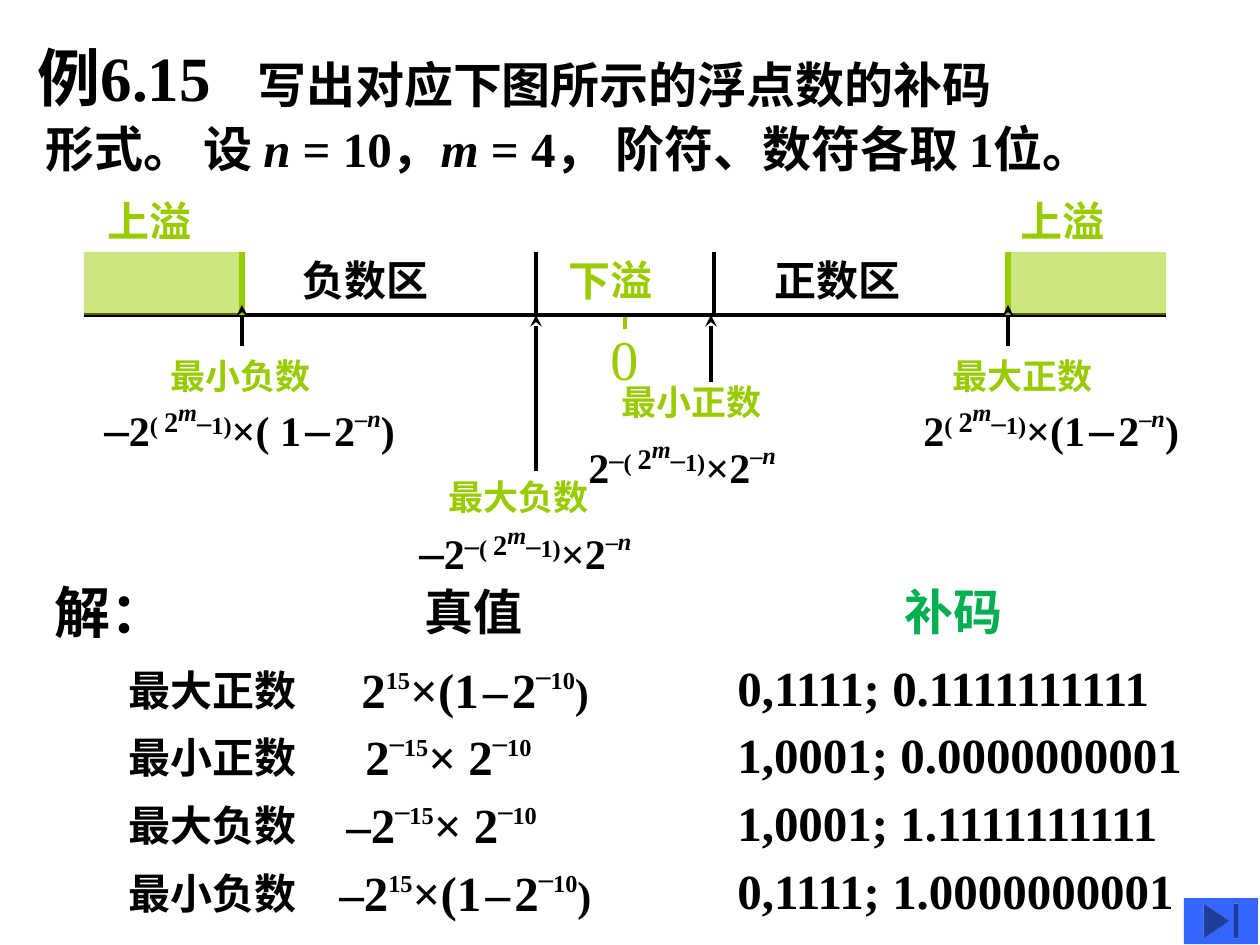
from lxml import etree
from pptx import Presentation
from pptx import util as u
from pptx.dml.color import RGBColor
from pptx.enum import shapes, text
from pptx.oxml.ns import qn

SCALE = 914400 / 126
FONT = "Times New Roman"
COLORS = {"black": "000000", "lime": "99CC00", "green": "00B050", "blue": "3366FF"}

# A run is (text, size, raise in percent, italic); only the text is required.
POWER = [("( ", 24, 30), ("2", 28, 30), ("m", 24, 60, True),
         ("–", 28, 30), ("1)", 24, 30)]
TAIL = [("–", 24, 45), ("n", 24, 45, True)]
MINUS = [(" ", 10), ("–", 28), (" ", 10)]
NEG = ("–", 28)
TEN = [("–", 28, 47), ("10", 24, 45)]


def px(n):
    return u.Emu(round(n * SCALE))


def rgb(name):
    return RGBColor.from_string(COLORS[name])


def write(box, *paras, size=24, color="black", bold=True, space=None, indents=()):
    """Fill a box with paragraphs, each one a string or a list of runs.

    indents gives a (left margin, first line) pair for each paragraph.
    """
    frame = box.text_frame
    frame.margin_left = frame.margin_right = u.Inches(0.1)
    frame.margin_top = frame.margin_bottom = u.Inches(0.05)
    frame.vertical_anchor = text.MSO_ANCHOR.TOP
    frame.word_wrap = True
    frame.auto_size = text.MSO_AUTO_SIZE.SHAPE_TO_FIT_TEXT
    for i, runs in enumerate(paras):
        para = frame.add_paragraph() if i else frame.paragraphs[0]
        para.alignment = text.PP_ALIGN.LEFT
        para.space_before = u.Pt(0)
        para.line_spacing = space
        if indents:
            left, first = indents[i]
            props = para._p.get_or_add_pPr()
            props.set("marL", str(px(left)))
            props.set("indent", str(px(first)))
        for item in [(runs,)] if isinstance(runs, str) else runs:
            words, pts, base, slant = item + (size, 0, False)[len(item) - 1:]
            run = para.add_run()
            run.text = words
            font = run.font
            font.name, font.size, font.bold = FONT, u.Pt(pts), bold
            font.italic = slant
            font.color.rgb = rgb(color)
            if base:
                run._r.get_or_add_rPr().set("baseline", str(base * 1000))


def label(slide, x, y, w, h, *paras, **style):
    box = slide.shapes.add_textbox(px(x), px(y), px(w), px(h))
    write(box, *paras, **style)


def rule(slide, x1, y1, x2, y2, color="black", width=2.25, arrow=False):
    line = slide.shapes.add_connector(
        shapes.MSO_CONNECTOR.STRAIGHT, px(x1), px(y1), px(x2), px(y2))
    line.line.color.rgb = rgb(color)
    line.line.width = u.Pt(width)
    etree.SubElement(line._element.spPr, qn("a:effectLst"))
    if arrow:
        etree.SubElement(line.line._get_or_add_ln(), qn("a:tailEnd"), type="stealth")


def block(slide, kind, x, y, w, h, color, alpha=None):
    shape = slide.shapes.add_shape(kind, px(x), px(y), px(w), px(h))
    shape.shadow.inherit = False
    shape.fill.solid()
    shape.fill.fore_color.rgb = rgb(color)
    shape.line.fill.background()
    if alpha:
        tint = shape._element.spPr.find(".//" + qn("a:srgbClr"))
        etree.SubElement(tint, qn("a:alpha"), val=str(alpha * 1000))


def heading(slide):
    title = slide.shapes.title
    title.left, title.top, title.width, title.height = px(25), px(32), px(219), px(88)
    write(title, "例6.15", size=36)
    label(slide, 0, 42, 1207, 142,
          "写出对应下图所示的浮点数的补码",
          [("形式。 设 ",), ("n", 28, 0, True), (" = 10，",), ("m", 28, 0, True),
           (" = 4， 阶符、数符各取 1位。",)],
          size=28, space=1.1, indents=[(33, 212), (33, 0)])


def axis(slide):
    top, base = 252, 315
    rule(slide, 625, base + 14, 625, base, "lime")
    rule(slide, 84, base, 1166, base)
    for x in (242, 1008):
        rule(slide, x, top, x, base, "lime", 3)
    for x in (536, 714):
        rule(slide, x, top, x, base)
    for x in (84, 1008):
        block(slide, shapes.MSO_SHAPE.RECTANGLE, x, top, 158, 63, "lime", 50)
    for x, y, w, words, color in [
            (290, 248, 156, "负数区", "black"), (762, 248, 156, "正数区", "black"),
            (556, 248, 114, "下溢", "lime"),
            (95, 189, 114, "上溢", "lime"), (1008, 189, 114, "上溢", "lime")]:
        label(slide, x, y, w, 63, words, color=color)
    label(slide, 598, 318, 57, 81, "0", size=32, color="lime", bold=False)
    for x, start, end in [(242, 346, 305), (1008, 346, 305),
                          (711, 382, base), (536, 471, base)]:
        rule(slide, x, start, x, end, arrow=True)


def limits(slide):
    """Name each end of the two number ranges and give its formula."""
    big = [*MINUS, ("2",), *TAIL, (")",)]
    small = [("2",), ("–", 28, 30), *POWER, ("×2",), *TAIL]
    for name, x, y, fx, fy, fw, runs in [
            ("最小负数", 158, 348, 92, 391, 323, [NEG, ("2",), *POWER, ("×( 1",), *big]),
            ("最大正数", 940, 348, 911, 391, 289, [("2",), *POWER, ("×(1",), *big]),
            ("最小正数", 609, 374, 576, 428, 221, small),
            ("最大负数", 436, 469, 407, 514, 245, [NEG, *small])]:
        label(slide, x, y, 171, 55, name, size=20, color="lime")
        label(slide, fx, fy, fw, 72, runs)


def answers(slide):
    label(slide, 42, 571, 143, 81, "解：", size=32)
    label(slide, 412, 575, 128, 72, "真值", size=28)
    label(slide, 892, 575, 179, 72, "补码", size=28, color="green")
    big = [("15", 24, 45), ("×(1",), *MINUS, ("2",), *TEN, (")", 24)]
    small = [("–", 28, 47), ("15", 24, 45), ("× 2",), *TEN]
    rows = [("最大正数", 349, [("2",), *big], "0,1111; 0.1111111111"),
            ("最小正数", 353, [("2",), *small], "1,0001; 0.0000000001"),
            ("最大负数", 334, [("–2",), *small], "1,0001; 1.1111111111"),
            ("最小负数", 327, [("–2",), *big], "0,1111; 1.0000000001")]
    for i, (name, x, value, code) in enumerate(rows):
        y = 651 + 203 * i // 3
        label(slide, 116, y + 7, 197, 63, name)
        label(slide, x, y, 364, 74, value, size=28)
        label(slide, 725, y, 477, 72, code, size=28)


def main():
    deck = Presentation()
    deck.slide_width, deck.slide_height = px(1260), px(945)
    slide = deck.slides.add_slide(deck.slide_layouts[5])
    heading(slide)
    axis(slide)
    limits(slide)
    answers(slide)
    block(slide, shapes.MSO_SHAPE.ACTION_BUTTON_END, 1184, 898, 74, 46, "blue")
    deck.save("out.pptx")


if __name__ == "__main__":
    main()
